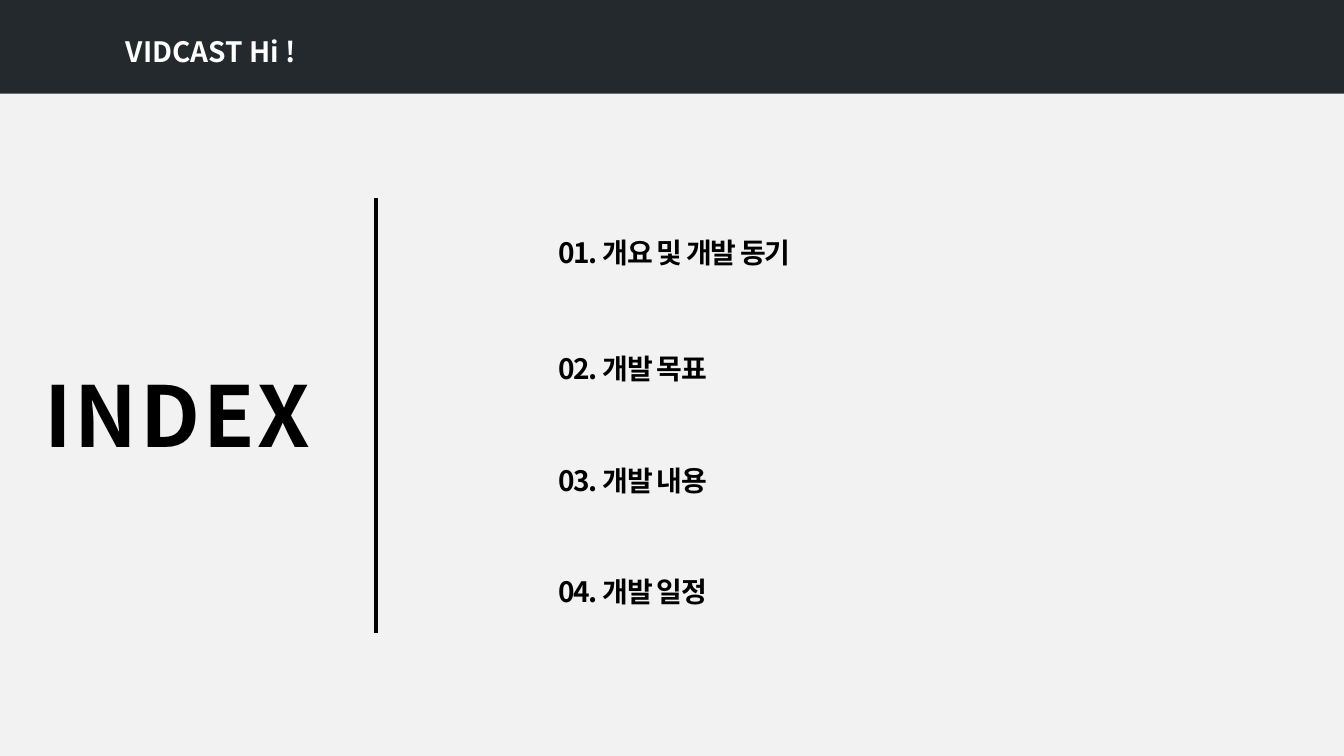
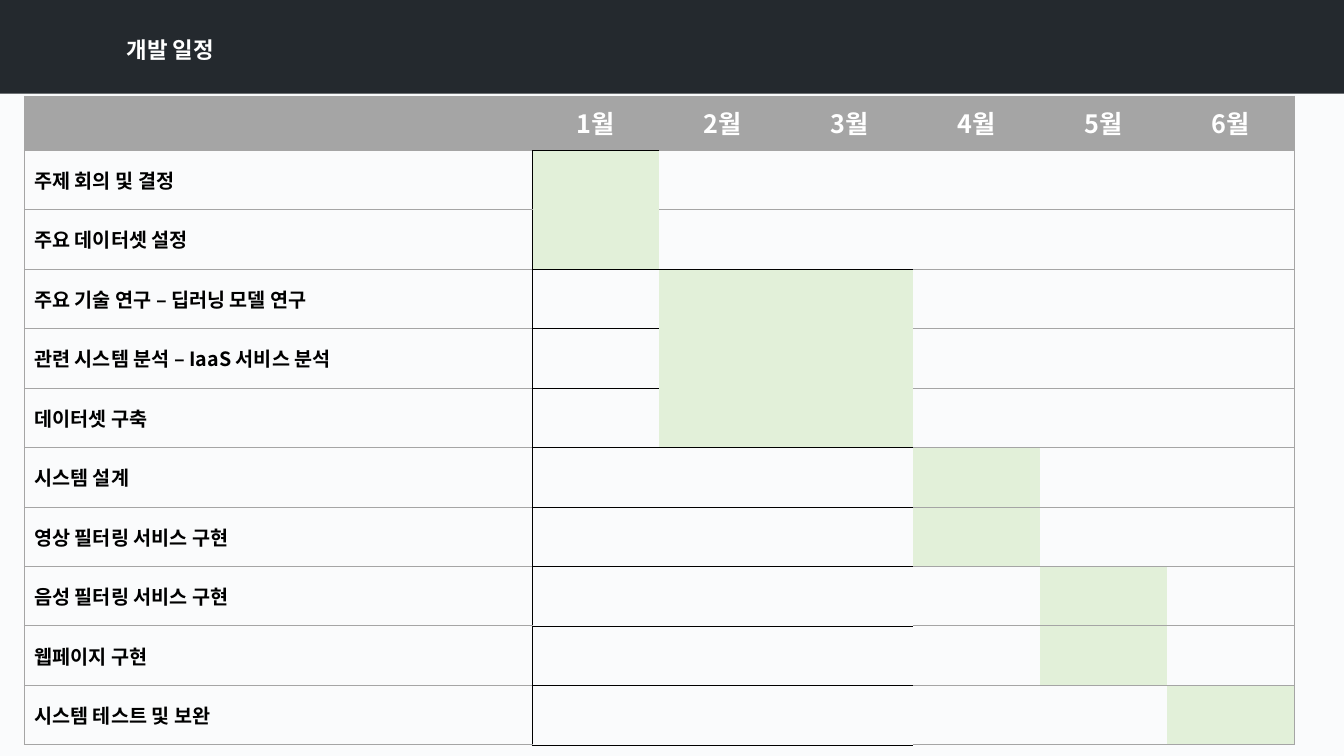
from dataclasses import dataclass

from lxml.etree import SubElement
from pptx import Presentation
from pptx.dml.color import RGBColor
from pptx.enum.shapes import MSO_CONNECTOR as Connector, MSO_SHAPE as Shape
from pptx.enum.text import MSO_ANCHOR as Anchor, PP_ALIGN as Align
from pptx.oxml.ns import qn
from pptx.util import Inches, Pt


@dataclass(frozen=True)
class Theme:
    font: str = "Noto Sans CJK KR"
    band: str = "24292E"
    index_page: str = "F2F2F2"
    schedule_page: str = "FAFBFC"
    ink: str = "000000"
    white: str = "FFFFFF"
    grey: str = "A5A5A5"
    bar: str = "E2F0D9"
    index_size: int = 60
    item_size: int = 20
    title_size: int = 16
    month_size: int = 18
    task_size: int = 14
    grid_width: float = 0.5
    month_line_width: float = 0.25


THEME = Theme()
PAGE_WIDTH, PAGE_HEIGHT = 13.33, 7.5

INDEX_ITEMS = [
    ("01. 개요 및 개발 동기", 2.14, 2.88),
    ("02. 개발 목표", 3.3, 1.88),
    ("03. 개발 내용", 4.41, 1.88),
    ("04. 개발 일정", 5.51, 1.88),
]

# Each task is followed by the first and last month of its bar.
TASKS = [
    ("주제 회의 및 결정", 1, 1),
    ("주요 데이터셋 설정", 1, 1),
    ("주요 기술 연구 – 딥러닝 모델 연구", 2, 3),
    ("관련 시스템 분석 – IaaS 서비스 분석", 2, 3),
    ("데이터셋 구축", 2, 3),
    ("시스템 설계", 4, 4),
    ("영상 필터링 서비스 구현", 4, 4),
    ("음성 필터링 서비스 구현", 5, 5),
    ("웹페이지 구현", 5, 5),
    ("시스템 테스트 및 보완", 6, 6),
]
MONTHS = 6
BLACK_LINE_MONTHS = 3
PLAIN_TABLE_STYLE = "{2D5ABB26-0587-4C30-8999-92F81FD0307C}"


def color(value):
    return RGBColor.from_string(value)


def write(frame, text, size, ink, line_spacing=None, tracking=0, align=Align.LEFT):
    para = frame.paragraphs[0]
    para.text = text
    para.alignment = align
    if line_spacing:
        para.line_spacing = line_spacing
    font = para.font
    font.name, font.size, font.bold = THEME.font, Pt(size), True
    font.color.rgb = color(ink)
    properties = para._p.pPr.find(qn("a:defRPr"))
    SubElement(properties, qn("a:ea"), typeface=THEME.font)
    if tracking:
        properties.set("spc", str(tracking * 100))


def add_page(deck, background):
    page = deck.slides.add_slide(deck.slide_layouts[6])
    page.background.fill.solid()
    page.background.fill.fore_color.rgb = color(background)
    return page


def add_box(page, left, top, width, height, fill):
    box = page.shapes.add_shape(
        Shape.RECTANGLE, Inches(left), Inches(top), Inches(width), Inches(height))
    box.shadow.inherit = False
    box.fill.solid()
    box.fill.fore_color.rgb = color(fill)
    box.line.fill.background()
    return box


def add_label(page, text, left, top, width, height, size, tracking):
    box = add_box(page, left, top, width, height, THEME.index_page)
    box.text_frame.word_wrap = True
    box.text_frame.vertical_anchor = Anchor.MIDDLE
    write(box.text_frame, text, size, THEME.ink, 1.5, tracking)


def add_header(page, title, left, top, size):
    add_box(page, 0, 0, PAGE_WIDTH, 0.93, THEME.band)
    box = page.shapes.add_textbox(
        Inches(left), Inches(top), Inches(6.67), Inches(0.54))
    box.text_frame.word_wrap = True
    write(box.text_frame, title, size, THEME.white, 1.5)


def add_divider(page, x, top, bottom):
    line = page.shapes.add_connector(
        Connector.STRAIGHT, Inches(x), Inches(top), Inches(x), Inches(bottom))
    line.line.color.rgb = color(THEME.ink)
    line.line.width = Pt(2.5)
    SubElement(line._element.spPr, qn("a:effectLst"))


def add_border(cell, side, ink):
    width = THEME.grid_width if ink == THEME.grey else THEME.month_line_width
    edge = SubElement(cell._tc.get_or_add_tcPr(), qn(f"a:ln{side}"), w=str(Pt(width)))
    fill = SubElement(edge, qn("a:solidFill"))
    SubElement(fill, qn("a:srgbClr"), val=ink)


def in_bar(row, month):
    if not 1 <= row <= len(TASKS):
        return False
    _, first, last = TASKS[row - 1]
    return first <= month <= last


def bottom_ink(row, column):
    if row == 0:
        return THEME.ink if column == 1 else THEME.grey
    if 1 <= column <= BLACK_LINE_MONTHS:
        if in_bar(row, column) and in_bar(row + 1, column):
            return None
        if row > 1:
            return THEME.ink
    return THEME.grey


def style_cell(cell, row, column):
    if row and column == 0:
        add_border(cell, "L", THEME.grey)
        add_border(cell, "R", THEME.ink)
    if column == MONTHS:
        add_border(cell, "R", THEME.grey)
    ink = bottom_ink(row, column)
    if ink:
        add_border(cell, "B", ink)
    cell.fill.solid()
    body = THEME.bar if in_bar(row, column) else THEME.schedule_page
    cell.fill.fore_color.rgb = color(body if row else THEME.grey)
    cell.vertical_anchor = Anchor.MIDDLE


def add_schedule(page):
    widths = [5.04] + [1.26] * MONTHS
    heights = [0.54] + [0.59] * len(TASKS)
    table = page.shapes.add_table(
        len(heights), len(widths), Inches(0.24), Inches(0.95),
        Inches(sum(widths)), Inches(sum(heights))).table
    table._tbl.tblPr.find(qn("a:tableStyleId")).text = PLAIN_TABLE_STYLE
    for column, width in enumerate(widths):
        table.columns[column].width = Inches(width)
    for row, height in enumerate(heights):
        table.rows[row].height = Inches(height)
        for column in range(len(widths)):
            style_cell(table.cell(row, column), row, column)
    for month in range(1, MONTHS + 1):
        write(table.cell(0, month).text_frame, f"{month}월",
              THEME.month_size, THEME.white, align=Align.CENTER)
    for row, (task, _, _) in enumerate(TASKS, 1):
        write(table.cell(row, 0).text_frame, task, THEME.task_size, THEME.ink)


def build_index(deck):
    page = add_page(deck, THEME.index_page)
    add_label(page, "INDEX", 0.34, 3.15, 4.3, 1.42, THEME.index_size, 2)
    for text, top, width in INDEX_ITEMS:
        add_label(page, text, 5.44, top, width, 0.55, THEME.item_size, -1)
    add_divider(page, 3.73, 1.96, 6.28)
    add_header(page, "VIDCAST Hi !", 1.15, 0.13, THEME.item_size)


def build_schedule(deck):
    page = add_page(deck, THEME.schedule_page)
    add_header(page, "개발 일정", 1.16, 0.18, THEME.title_size)
    add_schedule(page)


def main():
    deck = Presentation()
    deck.slide_width, deck.slide_height = Inches(PAGE_WIDTH), Inches(PAGE_HEIGHT)
    build_index(deck)
    build_schedule(deck)
    deck.save("out.pptx")


if __name__ == "__main__":
    main()
